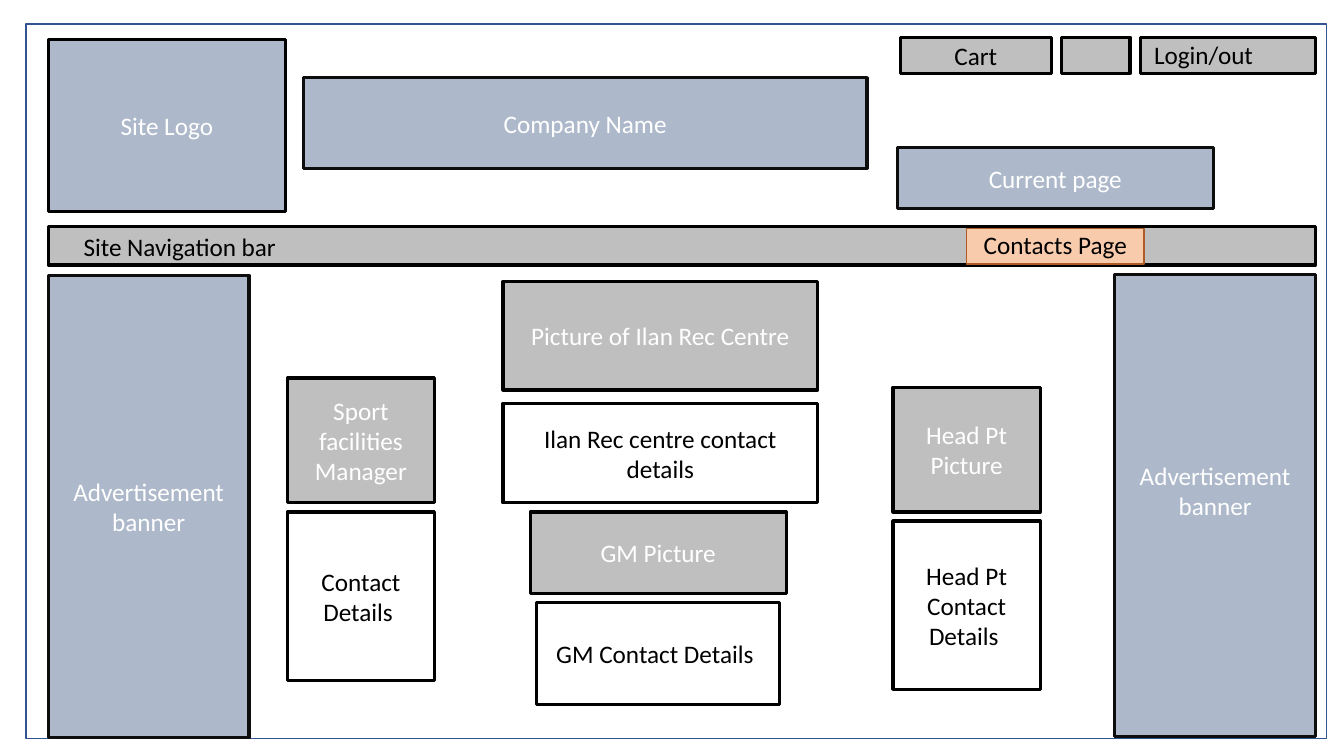
from dataclasses import dataclass
from typing import Optional

from pptx import Presentation
from pptx.dml.color import RGBColor
from pptx.enum.shapes import MSO_SHAPE
from pptx.enum.text import MSO_ANCHOR, PP_ALIGN
from pptx.util import Inches, Pt

COLORS = {
    "black": "000000", "ink": "0D0D0D", "white": "FFFFFF", "grey": "BFBFBF",
    "blue": "ADB9CA", "navy": "325491", "peach": "F8CBAD", "rust": "AF5C24",
}
# The page is a grid of 100 columns by 100 rows
GRID = 100
LEFT_EDGE, BAR_TOP, BUTTON_TOP, BUTTON_ROWS = 3.6, 30, 4.93, 4.8
BANNER_COLUMNS, BANNER_ROWS = 14.93, 61.2
CARD_COLUMNS, PHOTO_ROWS, DETAIL_ROWS, CARD_STEP = 10.95, 16.53, 22.27, 17.73
CENTRE_LEFT, CENTRE_COLUMNS = 37.43, 23.4


@dataclass(frozen=True)
class Block:
    left: float
    top: float
    columns: float
    rows: float
    text: str = ""
    fill: Optional[str] = "grey"
    ink: str = "white"
    line: str = "black"
    weight: float = 2.25
    bottom_inset: float = 0.05


@dataclass(frozen=True)
class Label:
    left: float
    top: float
    columns: float
    text: str
    rows: float = 5.33


def staff_card(left: float, top: float, photo: str, details: str) -> list[Block]:
    """A photo block with its contact details below."""
    return [
        Block(left, top, CARD_COLUMNS, PHOTO_ROWS, photo),
        Block(left, top + CARD_STEP, CARD_COLUMNS, DETAIL_ROWS, details, None, "black"),
    ]


PARTS = [
    # Page frame and navigation bar
    Block(1.95, 3.2, 96.75, 94.5, fill=None, line="navy", weight=1),
    Block(LEFT_EDGE, BAR_TOP, 94.28, 5.07),
    Label(5.48, BAR_TOP, 23.18, "Site Navigation bar"),
    Block(71.93, 30.27, 13.2, 4.67, fill="peach", line="rust", weight=1),
    Label(72.45, 29.73, 13.05, "Contacts Page"),
    # Account buttons
    Block(84.83, BUTTON_TOP, 13.05, BUTTON_ROWS),
    Label(85.13, 4.53, 12.75, "Login/out"),
    Block(78.98, BUTTON_TOP, 5.1, BUTTON_ROWS),
    Block(66.98, BUTTON_TOP, 11.25, BUTTON_ROWS, "Cart", ink="black"),
    # Advertisement banners
    Block(LEFT_EDGE, 36.4, BANNER_COLUMNS, BANNER_ROWS, "Advertisement banner",
          "blue", line="ink"),
    Block(82.95, 36.27, BANNER_COLUMNS, BANNER_ROWS, "Advertisement banner",
          "blue", line="ink", bottom_inset=0.35),
    # Centre and staff contacts
    Block(CENTRE_LEFT, 37.2, CENTRE_COLUMNS, 14.4, "Picture of Ilan Rec Centre"),
    Block(CENTRE_LEFT, 53.33, CENTRE_COLUMNS, 13.2,
          "Ilan Rec centre contact details", "white", "black"),
    *staff_card(21.38, 50, "Sport facilities Manager", "Contact Details "),
    *staff_card(66.45, 51.2, "Head Pt Picture", "Head Pt Contact Details "),
    Block(39.45, 67.73, 19.05, 10.8, "GM Picture"),
    Block(39.9, 79.73, 18.08, 13.47, "GM Contact Details ", None, "black"),
    # Page header
    Block(LEFT_EDGE, 5.2, 17.63, 22.8, "Site Logo", "blue"),
    Block(66.75, 19.47, 23.55, 8.13, "Current page", "blue", line="ink"),
    Block(22.58, 10.27, 41.93, 12, "Company Name", "blue", line="ink"),
]

deck = Presentation()
deck.slide_width, deck.slide_height = Inches(13.333), Inches(7.5)
page = deck.slides.add_slide(deck.slide_layouts[6])


def color(name: str) -> RGBColor:
    return RGBColor.from_string(COLORS[name])


def place(part: Block | Label) -> tuple[int, int, int, int]:
    """Turn columns and rows into slide lengths."""
    column, row = deck.slide_width / GRID, deck.slide_height / GRID
    return (int(part.left * column), int(part.top * row),
            int(part.columns * column), int(part.rows * row))


def write(box, text: str, ink: str, align: PP_ALIGN, anchor: MSO_ANCHOR) -> None:
    frame = box.text_frame
    frame.word_wrap = True
    frame.vertical_anchor = anchor
    para = frame.paragraphs[0]
    para.text = text
    para.alignment = align
    para.font.name, para.font.size = "Calibri", Pt(18)
    para.font.color.rgb = color(ink)


def draw_block(block: Block) -> None:
    box = page.shapes.add_shape(MSO_SHAPE.RECTANGLE, *place(block))
    box.shadow.inherit = False
    if block.fill:
        box.fill.solid()
        box.fill.fore_color.rgb = color(block.fill)
    else:
        box.fill.background()
    box.line.color.rgb = color(block.line)
    box.line.width = Pt(block.weight)
    if block.text:
        write(box, block.text, block.ink, PP_ALIGN.CENTER, MSO_ANCHOR.MIDDLE)
        box.text_frame.margin_bottom = Inches(block.bottom_inset)


def draw_label(label: Label) -> None:
    box = page.shapes.add_textbox(*place(label))
    write(box, label.text, "black", PP_ALIGN.LEFT, MSO_ANCHOR.TOP)


for part in PARTS:
    if isinstance(part, Label):
        draw_label(part)
    else:
        draw_block(part)

deck.save("out.pptx")
